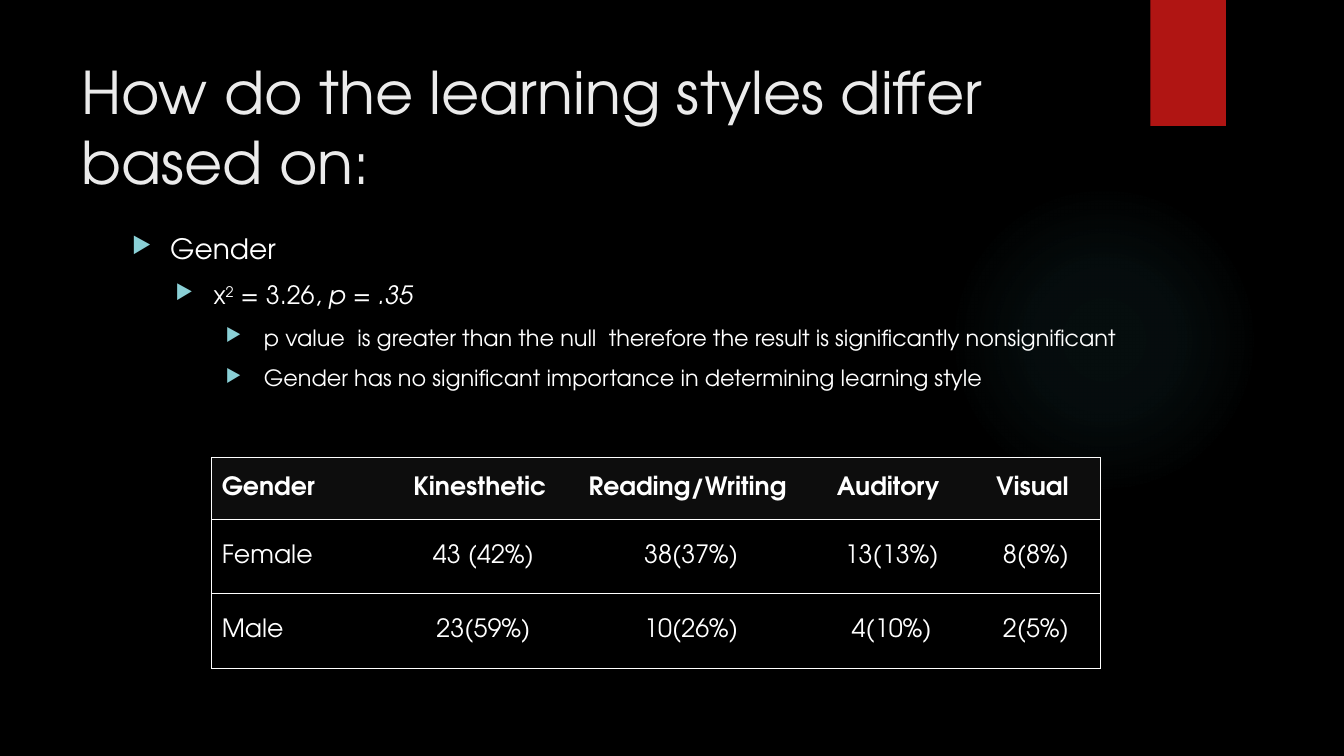
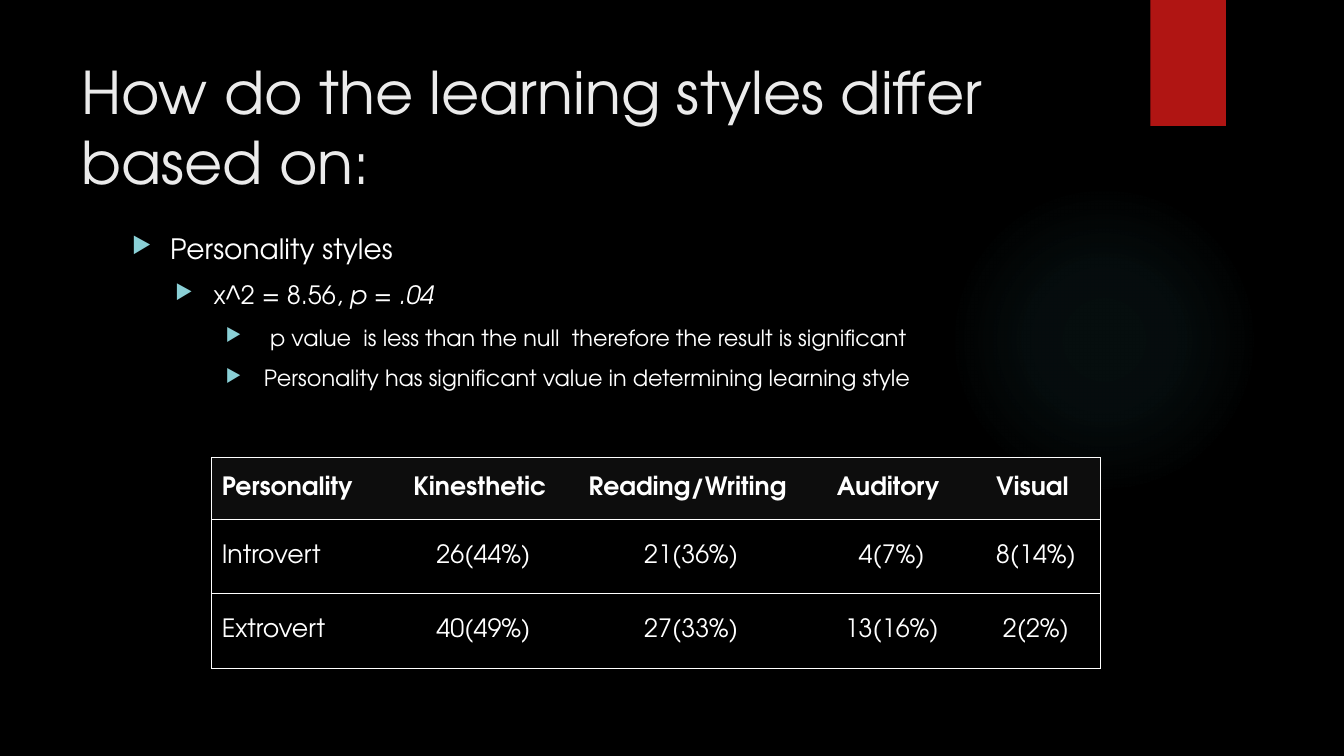
from dataclasses import dataclass

from lxml.etree import SubElement
from pptx import Presentation
from pptx.dml.color import RGBColor
from pptx.enum.shapes import MSO_SHAPE as Shape
from pptx.enum.text import MSO_ANCHOR as Anchor, PP_ALIGN as Align
from pptx.oxml import parse_xml
from pptx.oxml.ns import nsdecls, qn
from pptx.util import Inches, Pt

# Content: text runs are (text, style) pairs, bullets are (level, runs)
TITLE = "How do the learning styles differ based on:"
STYLES = ["Kinesthetic ", "Reading/Writing ", "Auditory ", "Visual "]
SLIDES = [
    {
        "bullets": [
            (0, [("Gender", "")]),
            (1, [("x", ""), ("2", "super"), (" = 3.26, ", ""), ("p = .35", "italic")]),
            (2, [("p value  is greater than the null  therefore the result is "
                  "significantly nonsignificant", "")]),
            (2, [("Gender has no significant importance in determining learning style", "")]),
        ],
        "bullets_width": 10.95,
        "results": [
            ["Gender", *STYLES],
            ["Female", "43 (42%)", "38(37%)", "13(13%)", "8(8%)"],
            ["Male", "23(59%)", "10(26%)", "4(10%)", "2(5%)"],
        ],
    },
    {
        "bullets": [
            (0, [("Personality styles", "")]),
            (1, [("x^2 = 8.56, ", ""), ("p = .04", "italic")]),
            (2, [(" p value  is less than the null  therefore the result is significant", "")]),
            (2, [("Personality has significant value in determining learning style", "")]),
        ],
        "bullets_width": 11.47,
        "results": [
            ["Personality", *STYLES],
            ["Introvert", "26(44%)", "21(36%)", "4(7%)", "8(14%)"],
            ["Extrovert", "40(49%)", "27(33%)", "13(16%)", "2(2%)"],
        ],
    },
]


@dataclass(frozen=True)
class Theme:
    font: str = "TeX Gyre Adventor"
    background: str = "000000"
    title: str = "EBEBEB"
    text: str = "FFFFFF"
    band: str = "B01513"
    glow: str = "50B9C1"
    bullet: str = "8AD0D6"
    header: str = "0D0D0D"
    title_size: int = 42
    level_sizes: tuple = (20, 18, 16)
    table_size: int = 18
    rule: float = 0.75


THEME = Theme()

# Layout in inches: left, top, width, height
SLIDE_SIZE = (13.33, 7.5)
GLOW_BOX = (9.41, 1.83, 3.08, 3.08)
BAND_BOX = (11.41, 0, 0.75, 1.25)
TITLE_BOX = (0.71, 0.5, 10.63, 1.53)
BULLETS_AT, BULLETS_HEIGHT = (1.21, 2.25), 4.59
LEVEL_INDENTS, HANGING = (0.38, 0.81, 1.31), 0.38
TABLE_AT = (2.1, 4.54)
COLUMNS = (1.84, 1.71, 2.41, 1.57, 1.29)
ROWS = (0.61, 0.74, 0.74)
GLOW_STOPS = ((0, 7), (36, 6), (69, 0))  # position, opacity in percent
NO_STYLE = "{2D5ABB26-0587-4C30-8999-92F81FD0307C}"


def inches(*lengths):
    return [Inches(length) for length in lengths]


def rgb(colour):
    return RGBColor.from_string(colour)


def set_font(paragraph, size, colour, bold=False):
    font = paragraph.font
    font.name, font.size, font.bold = THEME.font, Pt(size), bold
    font.color.rgb = rgb(colour)


def add_plain_shape(slide, kind, box, colour):
    shape = slide.shapes.add_shape(kind, *inches(*box))
    shape.shadow.inherit = False
    shape.line.fill.background()
    shape.fill.solid()
    shape.fill.fore_color.rgb = rgb(colour)
    return shape


def add_text_frame(slide, box):
    frame = slide.shapes.add_textbox(*inches(*box)).text_frame
    frame.word_wrap = True
    return frame


def add_decor(slide):
    # Soft round glow
    glow = add_plain_shape(slide, Shape.OVAL, GLOW_BOX, THEME.glow)
    stops = "".join(
        f'<a:gs pos="{position * 1000}"><a:srgbClr val="{THEME.glow}">'
        f'<a:alpha val="{opacity * 1000}"/></a:srgbClr></a:gs>'
        for position, opacity in GLOW_STOPS)
    gradient = parse_xml(
        f'<a:gradFill {nsdecls("a")}><a:gsLst>{stops}</a:gsLst><a:path path="circle">'
        '<a:fillToRect l="50000" t="50000" r="50000" b="50000"/></a:path></a:gradFill>')
    properties = glow._element.spPr
    properties.replace(properties.find(qn("a:solidFill")), gradient)
    # Red band at the top edge
    add_plain_shape(slide, Shape.RECTANGLE, BAND_BOX, THEME.band)


def add_title(slide):
    heading = add_text_frame(slide, TITLE_BOX).paragraphs[0]
    heading.text = TITLE
    set_font(heading, THEME.title_size, THEME.title)


def set_bullet(paragraph, level):
    properties = paragraph._p.get_or_add_pPr()
    properties.set("marL", str(Inches(LEVEL_INDENTS[level])))
    properties.set("indent", str(-Inches(HANGING)))
    marker = parse_xml(
        f'<a:buClr {nsdecls("a")}><a:srgbClr val="{THEME.bullet}"/></a:buClr>')
    # Bullet settings precede the default run properties
    before = properties.find(qn("a:defRPr"))
    before.addprevious(marker)
    for tag, name, value in (("a:buSzPct", "val", "80000"), ("a:buChar", "char", "▶")):
        setting = SubElement(properties, qn(tag))
        setting.set(name, value)
        before.addprevious(setting)


def add_bullets(slide, bullets, width):
    frame = add_text_frame(slide, (*BULLETS_AT, width, BULLETS_HEIGHT))
    for index, (level, runs) in enumerate(bullets):
        point = frame.add_paragraph() if index else frame.paragraphs[0]
        point.level = level
        point.space_before = Pt(10)
        set_font(point, THEME.level_sizes[level], THEME.text)
        set_bullet(point, level)
        for words, style in runs:
            run = point.add_run()
            run.text = words
            if style == "italic":
                run.font.italic = True
            elif style == "super":
                run._r.get_or_add_rPr().set("baseline", "30000")


def set_borders(cell, sides):
    # Border lines precede the cell fill, in the order L, R, T, B
    properties = cell._tc.get_or_add_tcPr()
    for index, side in enumerate(sides):
        properties.insert(index, parse_xml(
            f'<a:ln{side} {nsdecls("a")} w="{Pt(THEME.rule)}"><a:solidFill>'
            f'<a:srgbClr val="{THEME.text}"/></a:solidFill></a:ln{side}>'))


def add_results(slide, results):
    size = (sum(COLUMNS), sum(ROWS))
    table = slide.shapes.add_table(
        len(ROWS), len(COLUMNS), *inches(*TABLE_AT, *size)).table
    table._tbl.tblPr.find(qn("a:tableStyleId")).text = NO_STYLE
    table.horz_banding = False
    for column, width in zip(table.columns, COLUMNS):
        column.width = Inches(width)
    for row, height in zip(table.rows, ROWS):
        row.height = Inches(height)
    last_row, last_column = len(ROWS) - 1, len(COLUMNS) - 1
    for r, values in enumerate(results):
        for c, value in enumerate(values):
            cell = table.cell(r, c)
            cell.vertical_anchor = Anchor.MIDDLE
            entry = cell.text_frame.paragraphs[0]
            entry.text = value
            entry.alignment = Align.CENTER if c else Align.LEFT
            set_font(entry, THEME.table_size, THEME.text, bold=r == 0)
            if r == 0:
                cell.fill.solid()
                cell.fill.fore_color.rgb = rgb(THEME.header)
            else:
                cell.fill.background()
            drawn = {"L": c == 0, "R": c == last_column, "T": True, "B": r == last_row}
            set_borders(cell, [side for side, shown in drawn.items() if shown])


def main():
    deck = Presentation()
    deck.slide_width, deck.slide_height = inches(*SLIDE_SIZE)
    backdrop = deck.slide_master.background.fill
    backdrop.solid()
    backdrop.fore_color.rgb = rgb(THEME.background)
    for content in SLIDES:
        slide = deck.slides.add_slide(deck.slide_layouts[6])
        add_decor(slide)
        add_title(slide)
        add_bullets(slide, content["bullets"], content["bullets_width"])
        add_results(slide, content["results"])
    deck.save("out.pptx")


if __name__ == "__main__":
    main()
